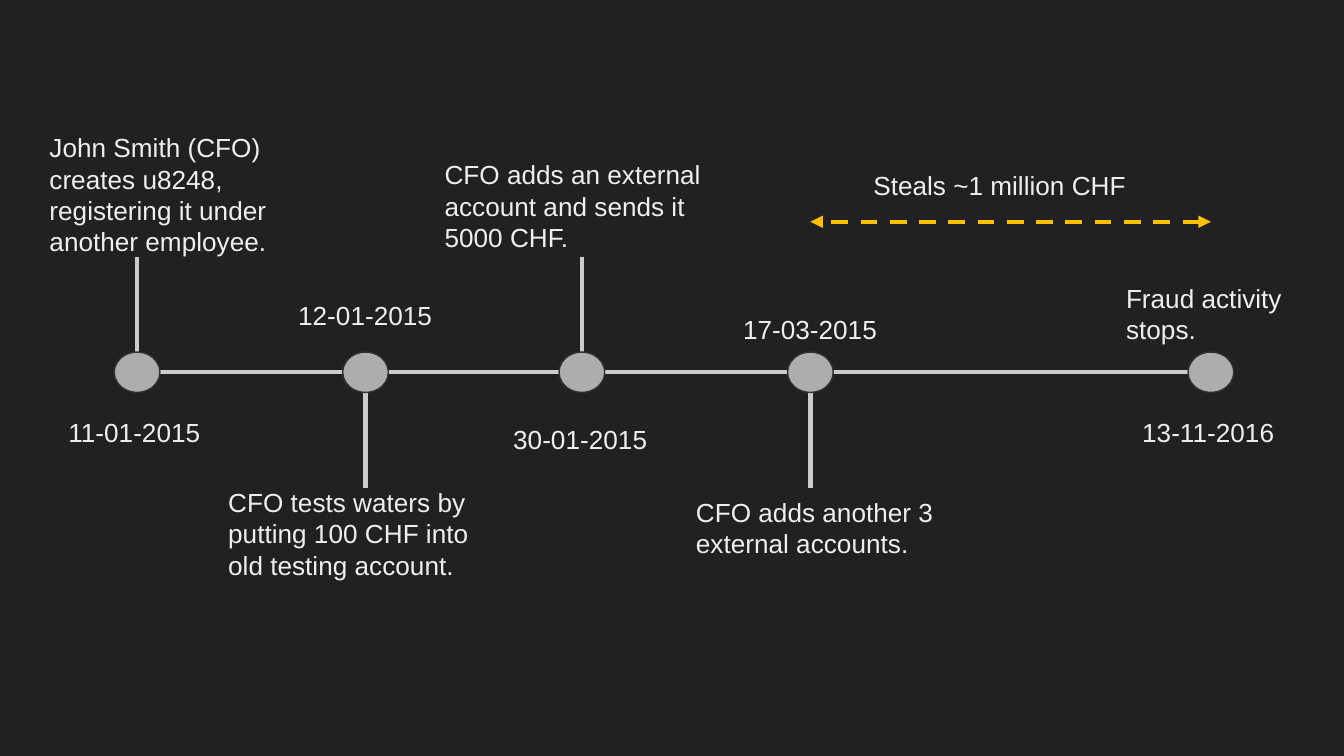
import itertools

import pptx
import pptx.dml.color
import pptx.enum.dml
import pptx.enum.shapes
import pptx.oxml
import pptx.oxml.ns
import pptx.util

Inches = pptx.util.Inches
Pt = pptx.util.Pt
RGBColor = pptx.dml.color.RGBColor

BACKGROUND = RGBColor(0x21, 0x21, 0x21)
TEXT = RGBColor(0xEF, 0xEF, 0xEF)
NODE = RGBColor(0xAD, 0xAD, 0xAD)
NODE_EDGE = RGBColor(0x30, 0x30, 0x30)
RAIL = RGBColor(0xCC, 0xCC, 0xCC)
THEFT = RGBColor(0xFF, 0xC0, 0x00)

FONT = {"name": "Arial", "size": Pt(14)}
FRAME = {"word_wrap": True, "margin_left": Inches(0.1), "margin_right": Inches(0.1),
         "margin_top": Inches(0.1), "margin_bottom": Inches(0.1)}

SLIDE_WIDTH = Inches(10)
SLIDE_HEIGHT = SLIDE_WIDTH * 9 // 16
NODE_WIDTH, NODE_HEIGHT = 0.34, 0.3
AXIS_Y = 2.77
STEM = 0.71


def assign(target, values):
    for key, value in values.items():
        setattr(target, key, value)


class Timeline:
    """Holds the style and the current slide."""

    def __init__(self, slide):
        self.slide = slide
        fill = slide.background.fill
        fill.solid()
        fill.fore_color.rgb = BACKGROUND

    def text(self, words, left, top, width, height):
        box = self.slide.shapes.add_textbox(*map(Inches, (left, top, width, height)))
        assign(box.text_frame, FRAME)
        run = box.text_frame.paragraphs[0].add_run()
        run.text = words
        assign(run.font, FONT)
        run.font.color.rgb = TEXT

    def line(self, x1, y1, x2, y2, color=RAIL):
        rule = self.slide.shapes.add_connector(
            pptx.enum.shapes.MSO_CONNECTOR.STRAIGHT, *map(Inches, (x1, y1, x2, y2)))
        rule.line.color.rgb = color
        rule.line.width = Pt(2.25)
        rule._element.spPr.append(pptx.oxml.parse_xml(
            f"<a:effectLst {pptx.oxml.ns.nsdecls('a')}/>"))
        return rule

    def span_arrow(self, x1, x2, y):
        line = self.line(x1, y, x2, y, THEFT).line
        line.dash_style = pptx.enum.dml.MSO_LINE.DASH
        for end in ("headEnd", "tailEnd"):
            line._get_or_add_ln().append(pptx.oxml.parse_xml(
                f"<a:{end} {pptx.oxml.ns.nsdecls('a')} type='triangle'/>"))

    def node(self, center):
        dot = self.slide.shapes.add_shape(
            pptx.enum.shapes.MSO_SHAPE.OVAL,
            *map(Inches, (center - NODE_WIDTH / 2, AXIS_Y - NODE_HEIGHT / 2,
                          NODE_WIDTH, NODE_HEIGHT)))
        dot.shadow.inherit = False
        dot.fill.solid()
        dot.fill.fore_color.rgb = NODE
        dot.line.color.rgb = NODE_EDGE
        dot.line.width = Pt(0.75)


# Node centre, stem direction (-1 up, 1 down), date and its place, event and its box
EVENTS = [
    (1.02, -1, "11-01-2015", (0.41, 3),
     "John Smith (CFO) creates u8248, registering it under another employee.",
     (0.27, 0.88, 2.24, 1.08)),
    (2.72, 1, "12-01-2015", (2.12, 2.13),
     "CFO tests waters by putting 100 CHF into old testing account.",
     (1.6, 3.52, 2.24, 0.87)),
    (4.33, -1, "30-01-2015", (3.72, 3.05),
     "CFO adds an external account and sends it 5000 CHF.",
     (3.21, 1.08, 2.24, 0.87)),
    (6.03, 1, "17-03-2015", (5.43, 2.23),
     "CFO adds another 3 external accounts.",
     (5.08, 3.59, 2.24, 0.87)),
    (9.01, 0, "13-11-2016", (8.4, 3),
     "Fraud activity stops.",
     (8.28, 2, 1.45, 0.58)),
]

deck = pptx.Presentation()
assign(deck, {"slide_width": SLIDE_WIDTH, "slide_height": SLIDE_HEIGHT})
timeline = Timeline(deck.slides.add_slide(deck.slide_layouts[6]))

# Axis between neighbouring nodes
centers = [event[0] for event in EVENTS]
for start, end in itertools.pairwise(centers):
    timeline.line(end - NODE_WIDTH / 2, AXIS_Y, start + NODE_WIDTH / 2, AXIS_Y)

# Events with their nodes, stems, dates and descriptions
for center, direction, date, date_place, event, event_box in EVENTS:
    if direction:
        edge = AXIS_Y + direction * NODE_HEIGHT / 2
        top, bottom = sorted((edge, edge + direction * STEM))
        timeline.line(center, top, center, bottom)
    timeline.node(center)
    timeline.text(date, *date_place, 1.21, 0.45)
    timeline.text(event, *event_box)

# Period of the theft
timeline.span_arrow(centers[4], centers[3], 1.65)
timeline.text("Steals ~1 million CHF", 6.4, 1.16, 2.37, 0.45)

deck.save("out.pptx")
